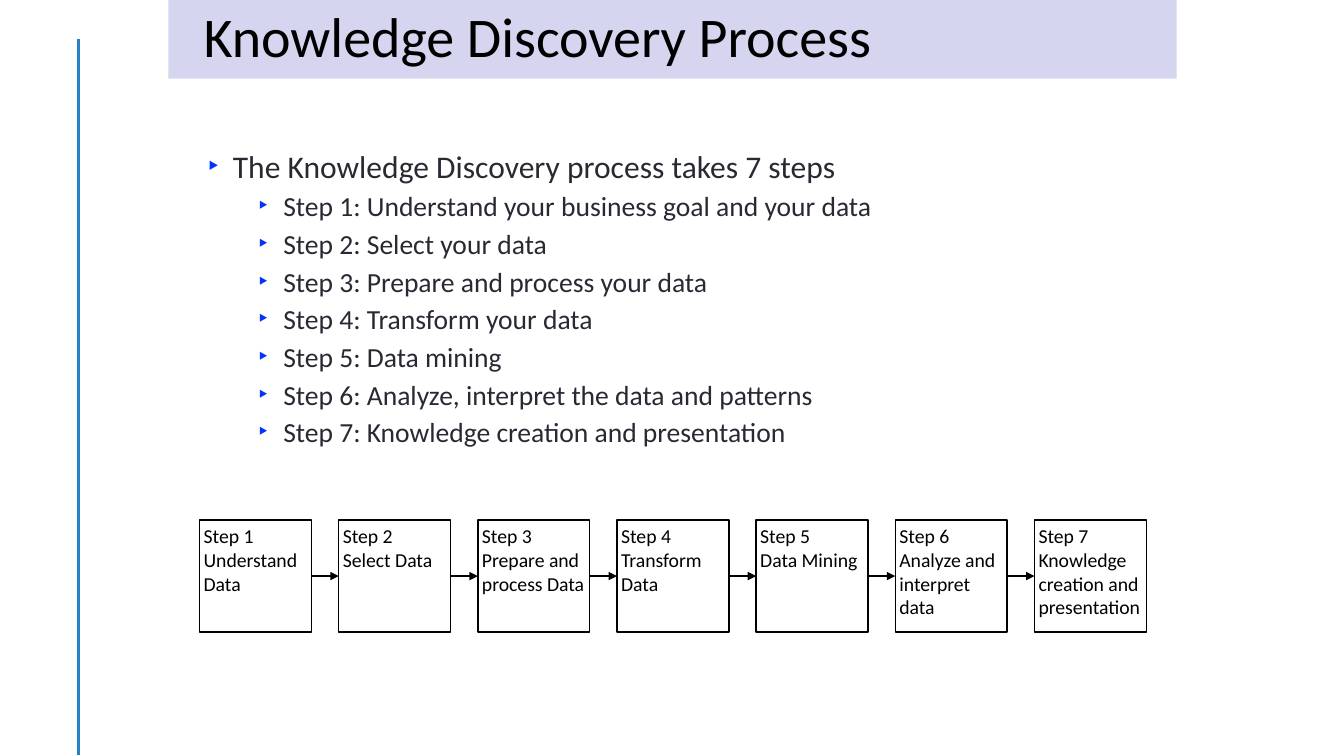
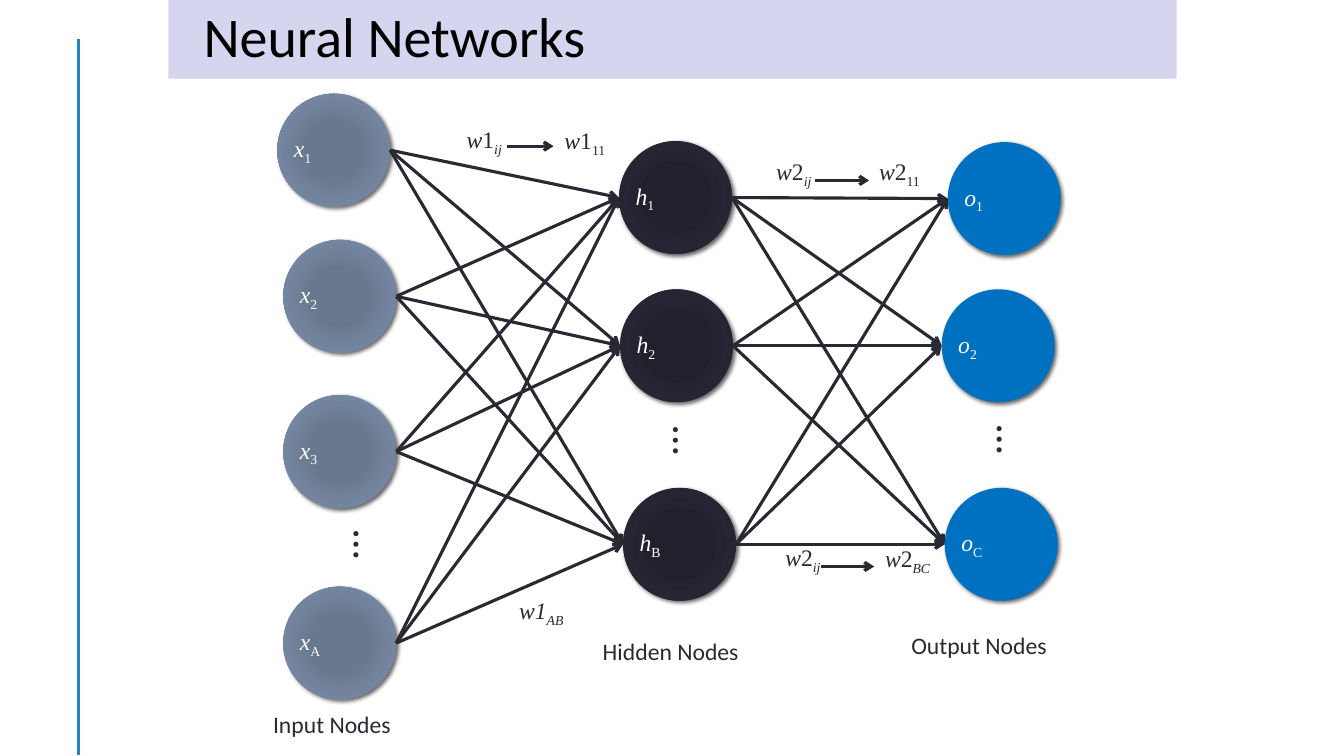
import itertools

import lxml.etree
import pptx
import pptx.dml.color
import pptx.enum.shapes
import pptx.enum.text
import pptx.oxml
import pptx.oxml.ns
import pptx.util

Inches, Pt = pptx.util.Inches, pptx.util.Pt
RGBColor = pptx.dml.color.RGBColor
MSO_SHAPE = pptx.enum.shapes.MSO_SHAPE
PP_ALIGN, MSO_ANCHOR = pptx.enum.text.PP_ALIGN, pptx.enum.text.MSO_ANCHOR
qn = pptx.oxml.ns.qn

BLACK = RGBColor(0x00, 0x00, 0x00)
WHITE = RGBColor(0xFF, 0xFF, 0xFF)
INK = RGBColor(0x29, 0x29, 0x34)
BAND = RGBColor(0xD5, 0xD5, 0xEF)
RULE = RGBColor(0x26, 0x83, 0xC6)
BULLET = RGBColor(0x04, 0x32, 0xFF)
OUTPUT_BLUE = RGBColor(0x00, 0x70, 0xC0)
# Radial gradients: (position in percent, colour), from the centre out
INPUT_GRADIENT = [(0, RGBColor(0x67, 0x77, 0x90)), (34, RGBColor(0x68, 0x78, 0x8E)),
                  (70, RGBColor(0x74, 0x86, 0x9F)), (100, RGBColor(0x80, 0x8D, 0xA0))]
HIDDEN_GRADIENT = [(0, RGBColor(0x21, 0x21, 0x2F)), (34, RGBColor(0x21, 0x21, 0x2E)),
                   (70, RGBColor(0x25, 0x25, 0x34)), (100, INK)]
SANS, SERIF = "Calibri", "Times New Roman"
LABEL_SIZE = 16.9

# Slide 1: (level, text), then the caption of each step box
OUTLINE = [
    (0, "The Knowledge Discovery process takes 7 steps"),
    (1, "Step 1: Understand your business goal and your data"),
    (1, "Step 2: Select your data"),
    (1, "Step 3: Prepare and process your data"),
    (1, "Step 4: Transform your data"),
    (1, "Step 5: Data mining"),
    (1, "Step 6: Analyze, interpret the data and patterns"),
    (1, "Step 7: Knowledge creation and presentation"),
]
OUTLINE_SIZES = [22.5, 19.7]
OUTLINE_MARGINS = [0.25, 0.75]
STEPS = ["Understand Data", "Select Data", "Prepare and process Data", "Transform Data",
         "Data Mining", "Analyze and interpret data", "Knowledge creation and presentation"]
STEP_LEFT, STEP_TOP, STEP_SIDE, STEP_PITCH = 1.98, 5.16, 1.11, 1.38

# Slide 2: each layer has a letter, a fill and nodes (subscript, left, top)
LAYERS = [
    ("x", INPUT_GRADIENT, [("1", 2.75, 0.93), ("2", 2.81, 2.38), ("3", 2.81, 3.92), ("A", 2.81, 5.82)]),
    ("h", HIDDEN_GRADIENT, [("1", 6.14, 1.4), ("2", 6.15, 2.87), ("B", 6.18, 4.84)]),
    ("o", OUTPUT_BLUE, [("1", 9.4, 1.41), ("2", 9.34, 2.87), ("C", 9.37, 4.84)]),
]
NODE_SIZE = 1.12
CAPTIONS = [("Input Nodes", 2.61, 6.99), ("Hidden Nodes", 5.88, 6.27), ("Output Nodes", 8.94, 6.21)]
# (left, top, runs); a run is (text, flags) with i for italic and s for subscript
WEIGHTS = [
    (4.53, 1.19, [("w", "i"), ("1", ""), ("ij", "is")]),
    (5.5, 1.2, [("w", "i"), ("1", ""), ("11", "s")]),
    (7.6, 1.51, [("w", "i"), ("2", ""), ("ij", "is")]),
    (8.62, 1.51, [("w", "i"), ("2", ""), ("11", "s")]),
    (7.69, 5.34, [("w", "i"), ("2", ""), ("ij", "is")]),
    (8.68, 5.35, [("w", "i"), ("2", ""), ("BC", "is")]),
    (5.05, 5.86, [("w1", "i"), ("AB", "is")]),
]
WEIGHT_ARROWS = [(5.03, 5.49, 1.45), (8.08, 8.62, 1.79), (8.14, 8.67, 5.62)]  # from x, to x, y
ELLIPSES = [(3.19, 5.15), (6.36, 4.12), (9.57, 4.11)]


def place(shape, left, top, width, height):
    shape.left, shape.top = Inches(left), Inches(top)
    shape.width, shape.height = Inches(width), Inches(height)


def set_font(item, name, size, color):
    item.font.name, item.font.size = name, Pt(size)
    item.font.color.rgb = color


def sub(parent, tag, **attributes):
    """Append a DrawingML child element."""
    return lxml.etree.SubElement(parent, qn(tag), {k: str(v) for k, v in attributes.items()})


def add_line(s, start, end, color, width, head=None):
    line = s.shapes.add_connector(pptx.enum.shapes.MSO_CONNECTOR.STRAIGHT,
                                  *(Inches(v) for v in (*start, *end)))
    line.line.color.rgb = color
    line.line.width = Pt(width)
    if head:
        sub(line.line._get_or_add_ln(), "a:tailEnd", type=head)
    sub(line._element.spPr, "a:effectLst")
    return line


def add_text(s, box, runs, name=SERIF, size=LABEL_SIZE):
    """Add a one-paragraph text box and return its text frame."""
    tf = s.shapes.add_textbox(*(Inches(v) for v in box)).text_frame
    tf.word_wrap = True
    write_runs(tf.paragraphs[0], runs, name, size, INK)
    return tf


def write_runs(p, runs, name, size, color):
    set_font(p, name, size, color)
    for text, flags in runs:
        r = p.add_run()
        r.text = text
        set_font(r, name, size, color)
        r.font.italic = "i" in flags
        if "s" in flags:
            r._r.get_or_add_rPr().set("baseline", "-25000")


def add_slide(prs, layout, title):
    """Add a slide with the title on its band."""
    s = prs.slides.add_slide(prs.slide_layouts[layout])
    band = s.shapes.title
    place(band, 1.67, 0, 10, 0.78)
    band.fill.solid()
    band.fill.fore_color.rgb = BAND
    tf = band.text_frame
    tf.text = title
    tf.vertical_anchor = MSO_ANCHOR.MIDDLE
    tf.auto_size = pptx.enum.text.MSO_AUTO_SIZE.NONE
    p = tf.paragraphs[0]
    p.alignment, p.line_spacing = PP_ALIGN.LEFT, 0.9
    p._p.get_or_add_pPr().set("indent", str(Inches(0.25)))
    set_font(p, SANS, 40, BLACK)
    return s


def fill_outline(body):
    place(body, 1.96, 1.45, 9.42, 3.32)
    tf = body.text_frame
    tf.auto_size = pptx.enum.text.MSO_AUTO_SIZE.NONE
    for i, (level, text) in enumerate(OUTLINE):
        p = tf.add_paragraph() if i else tf.paragraphs[0]
        p.text, p.level = text, level
        p.line_spacing, p.space_before = 0.9, Pt(5.6)
        set_font(p, SANS, OUTLINE_SIZES[level], INK)
        pPr = p._p.get_or_add_pPr()
        pPr.set("marL", str(Inches(OUTLINE_MARGINS[level])))
        pPr.set("indent", str(Inches(-0.25)))
        # Bullet properties come before the default run properties
        bullet_color = pptx.oxml.parse_xml(
            f'<a:buClr {pptx.oxml.ns.nsdecls("a")}><a:srgbClr val="{BULLET}"/></a:buClr>')
        bullet = pptx.oxml.parse_xml(f'<a:buChar {pptx.oxml.ns.nsdecls("a")} char="‣"/>')
        pPr.find(qn("a:defRPr")).addprevious(bullet_color)
        bullet_color.addnext(bullet)


def add_steps(s):
    middle = STEP_TOP + STEP_SIDE / 2
    for i, caption in enumerate(STEPS):
        left = STEP_LEFT + i * STEP_PITCH
        box = s.shapes.add_shape(MSO_SHAPE.RECTANGLE, *(
            Inches(v) for v in (left, STEP_TOP, STEP_SIDE, STEP_SIDE)))
        box.shadow.inherit = False
        box.fill.background()
        box.line.color.rgb = BLACK
        box.line.width = Pt(1)
        tf = box.text_frame
        tf.margin_left = tf.margin_right = tf.margin_top = tf.margin_bottom = Inches(0.04)
        tf.vertical_anchor = MSO_ANCHOR.TOP
        tf.text = f"Step {i + 1}\n{caption}"
        for p in tf.paragraphs:
            p.alignment = PP_ALIGN.LEFT
            set_font(p, SANS, 14.1, BLACK)
        if i:
            add_line(s, (left - STEP_PITCH + STEP_SIDE, middle), (left, middle), BLACK, 2, "triangle")


def fill_radial(shape, stops):
    gradient = sub(shape._element.spPr, "a:gradFill", rotWithShape=1)
    stop_list = sub(gradient, "a:gsLst")
    for position, color in stops:
        sub(sub(stop_list, "a:gs", pos=position * 1000), "a:srgbClr", val=color)
    sub(sub(gradient, "a:path", path="circle"), "a:fillToRect", l=50000, t=50000, r=50000, b=50000)


def add_node(s, letter, fill, subscript, left, top):
    node = s.shapes.add_shape(MSO_SHAPE.OVAL, *(Inches(v) for v in (left, top, NODE_SIZE, NODE_SIZE)))
    if isinstance(fill, list):
        fill_radial(node, fill)
    else:
        node.fill.solid()
        node.fill.fore_color.rgb = fill
    node.line.fill.background()
    shadow = sub(sub(node._element.spPr, "a:effectLst"), "a:outerShdw",
                 blurRad=Pt(3), dist=Pt(2), dir=45 * 60000, algn="tl", rotWithShape=0)
    sub(sub(shadow, "a:srgbClr", val=BLACK), "a:alpha", val=60000)
    tf = node.text_frame
    tf.margin_left = tf.margin_right = tf.margin_top = tf.margin_bottom = 0
    tf.vertical_anchor = MSO_ANCHOR.MIDDLE
    p = tf.paragraphs[0]
    p.alignment = PP_ALIGN.LEFT
    write_runs(p, [(letter, "i"), (subscript, "s")], SERIF, LABEL_SIZE, WHITE)


def add_network(s):
    radius = NODE_SIZE / 2
    for letter, fill, nodes in LAYERS:
        for node in nodes:
            add_node(s, letter, fill, *node)
    for (_, _, sources), (_, _, targets) in itertools.pairwise(LAYERS):
        for (_, x1, y1), (_, x2, y2) in itertools.product(sources, targets):
            add_line(s, (x1 + NODE_SIZE, y1 + radius), (x2, y2 + radius), INK, 2.25, "arrow")
    for left, top in ELLIPSES:
        tf = add_text(s, (left, top, 0.59, 0.51), [("…", "")], size=22.5)
        tf.paragraphs[0].runs[0].font.bold = True
        tf._txBody.bodyPr.set("vert", "vert270")


def add_labels(s):
    for text, left, top in CAPTIONS:
        add_text(s, (left, top, 2, 0.38), [(text, "")], SANS)
    for left, top, runs in WEIGHTS:
        add_text(s, (left, top, 0.8, 0.49), runs)
    for x1, x2, y in WEIGHT_ARROWS:
        add_line(s, (x1, y), (x2, y), INK, 2.25, "arrow")


def main():
    prs = pptx.Presentation()
    prs.slide_width, prs.slide_height = Inches(13.33), Inches(7.5)

    s = add_slide(prs, 1, "Knowledge Discovery Process")
    # The side rule belongs to the master, so every slide shows it
    rule = add_line(s, (0.78, 0.39), (0.78, 7.49), RULE, 2)
    prs.slide_master.shapes.element.append(rule._element)
    fill_outline(s.placeholders[1])
    add_steps(s)

    s = add_slide(prs, 5, "Neural Networks")
    add_network(s)
    add_labels(s)

    prs.save("out.pptx")


if __name__ == "__main__":
    main()
